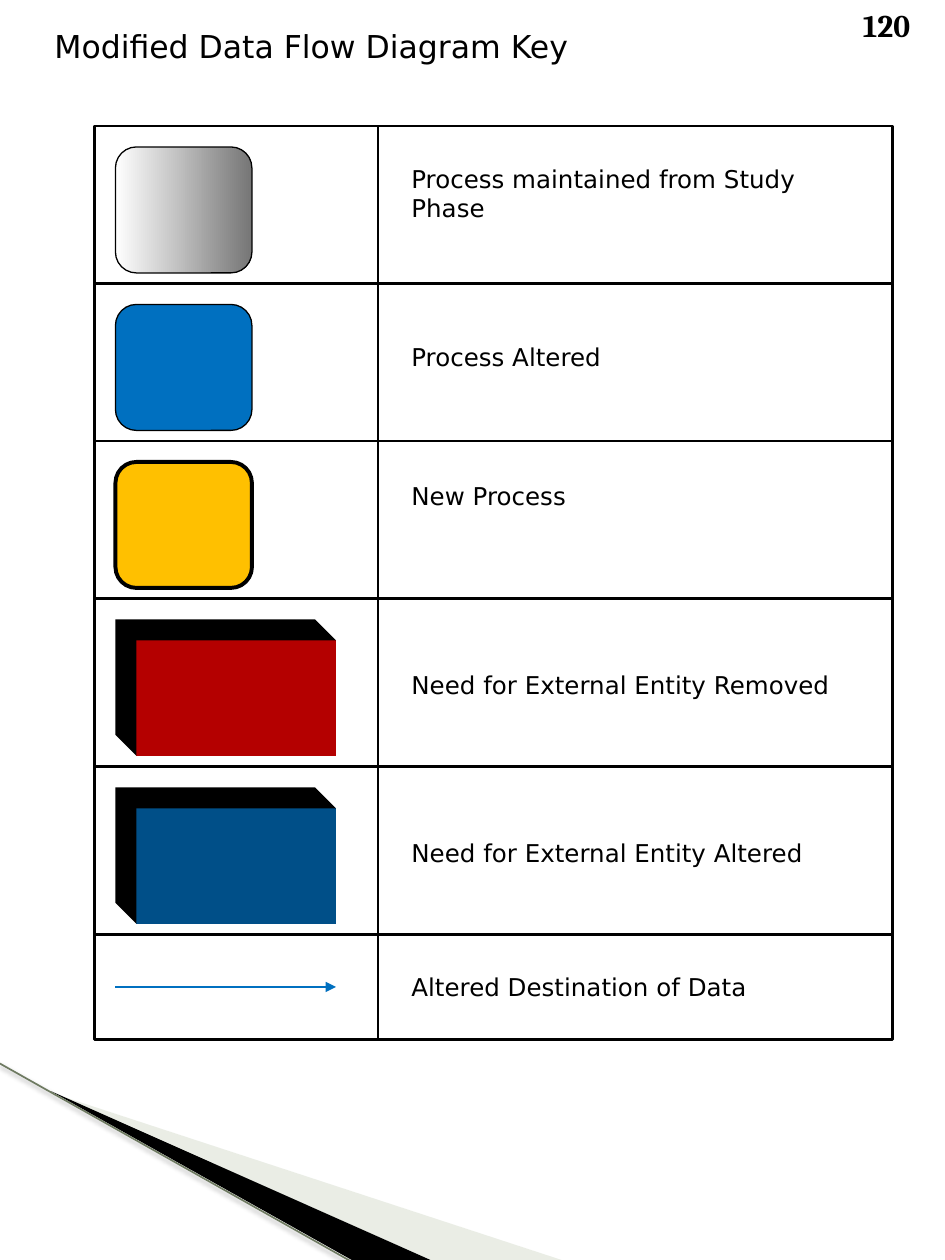
from lxml.etree import SubElement
from pptx import Presentation
from pptx.dml.color import RGBColor
from pptx.enum.shapes import MSO_CONNECTOR, MSO_SHAPE
from pptx.oxml.ns import qn
from pptx.util import Pt

INK = "000000"
BLUE = "0070C0"
LEFT, SPLIT, RIGHT, TOP = 54, 216, 510, 72
ICON = 66


def rgb(code):
    return RGBColor.from_string(code)


def paint(shape, fill=None, line=None, width=1.5):
    """Set fill and outline; None means no paint."""
    shape.shadow.inherit = False
    if fill:
        shape.fill.solid()
        shape.fill.fore_color.rgb = rgb(fill)
    else:
        shape.fill.background()
    if line:
        shape.line.color.rgb = rgb(line)
        shape.line.width = Pt(width)
    else:
        shape.line.fill.background()
    return shape


def add_text(slide, text, x, y, w, h, size=14, font="DejaVu Sans", bold=False):
    frame = slide.shapes.add_textbox(Pt(x), Pt(y), Pt(w), Pt(h)).text_frame
    frame.word_wrap = True
    run = frame.paragraphs[0].add_run()
    run.text = text
    run.font.size = Pt(size)
    run.font.name = font
    run.font.bold = bold
    run.font.color.rgb = rgb(INK)


def add_box(slide, kind, x, y, w, h, **style):
    shape = slide.shapes.add_shape(kind, Pt(x), Pt(y), Pt(w), Pt(h))
    return paint(shape, **style)


def add_poly(slide, points, fill, alpha=None):
    spots = [(Pt(x), Pt(y)) for x, y in points]
    pen = slide.shapes.build_freeform(*spots[0])
    pen.add_line_segments(spots[1:], close=True)
    shape = paint(pen.convert_to_shape(), fill)
    if alpha:
        tone = shape.fill._xPr.find(".//" + qn("a:srgbClr"))
        SubElement(tone, qn("a:alpha"), val=str(alpha * 1000))


def add_line(slide, x1, y1, x2, y2, color=INK, width=1.5, arrow=False, shade=False):
    line = slide.shapes.add_connector(
        MSO_CONNECTOR.STRAIGHT, Pt(x1), Pt(y1), Pt(x2), Pt(y2))
    line.line.color.rgb = rgb(color)
    line.line.width = Pt(width)
    if arrow:
        SubElement(line.line._get_or_add_ln(), qn("a:tailEnd"), type="triangle")
    effects = SubElement(line._element.spPr, qn("a:effectLst"))
    if shade:
        blur = SubElement(effects, qn("a:outerShdw"), blurRad=str(Pt(3.1)),
                          dist=str(Pt(1.6)), dir="5400000", rotWithShape="0")
        tone = SubElement(blur, qn("a:srgbClr"), val=INK)
        SubElement(tone, qn("a:alpha"), val="38000")


def add_process(slide, top, fill, width=0.75):
    return add_box(slide, MSO_SHAPE.ROUNDED_RECTANGLE, ICON, top + 12, 78, 72,
                   fill=fill, line=INK, width=width)


def add_kept(slide, top):
    """Process with a grey fade from left to right."""
    fill = add_process(slide, top, "FFFFFF").fill
    fill.gradient()
    fill.gradient_angle = 0
    for stop, place, color in zip(fill.gradient_stops, (0, 1), ("FFFFFF", "767676")):
        stop.position = place
        stop.color.rgb = rgb(color)


def add_entity(slide, top, fill):
    """Face with a black depth towards the upper left."""
    w, h, depth = 114, 66, 12
    x, y = ICON + depth, top + 2 * depth
    back = [(ICON, y - depth), (ICON + w, y - depth), (x + w, y),
            (x + w, y + h), (x, y + h), (ICON, y + h - depth)]
    add_poly(slide, back, INK)
    add_box(slide, MSO_SHAPE.RECTANGLE, x, y, w, h, fill=fill)


def add_flow(slide, top):
    add_line(slide, ICON, top + 30, 192, top + 30, BLUE, arrow=True)


def add_corner(slide):
    add_poly(slide, [(29.5, 624.5), (321, 720), (246, 720)], "CBD4C0", alpha=40)
    add_poly(slide, [(29, 623.5), (246, 720), (201, 720)], INK)
    add_line(slide, -0.5, 607.5, 201, 721, "6E7A61", 0.96, shade=True)


# Row height, label, label offset, icon function and its arguments
ROWS = [
    (90, "Process maintained from Study Phase", 18, add_kept, ()),
    (90, "Process Altered", 30, add_process, (BLUE,)),
    (90, "New Process", 19.5, add_process, ("FFC000", 2.25)),
    (96, "Need for External Entity Removed", 37.5, add_entity, ("B40000",)),
    (96, "Need for External Entity Altered", 37.5, add_entity, ("004F88",)),
    (60, "Altered Destination of Data", 18, add_flow, ()),
]


def add_key(slide):
    top = TOP
    for height, label, drop, icon, args in ROWS:
        icon(slide, top, *args)
        add_text(slide, label, 228, top + drop, 270, 24)
        add_box(slide, MSO_SHAPE.RECTANGLE, LEFT, top, RIGHT - LEFT, height, line=INK)
        top += height
    add_line(slide, SPLIT, TOP, SPLIT, top)


def main():
    deck = Presentation()
    deck.slide_width, deck.slide_height = Pt(540), Pt(720)
    slide = deck.slides.add_slide(deck.slide_layouts[6])
    add_corner(slide)
    add_key(slide)
    add_text(slide, "Modified Data Flow Diagram Key", 24, 12, 450, 56, size=18)
    add_text(slide, "120", 486, 0, 59, 29, size=18, font="Cambria", bold=True)
    deck.save("out.pptx")


if __name__ == "__main__":
    main()
